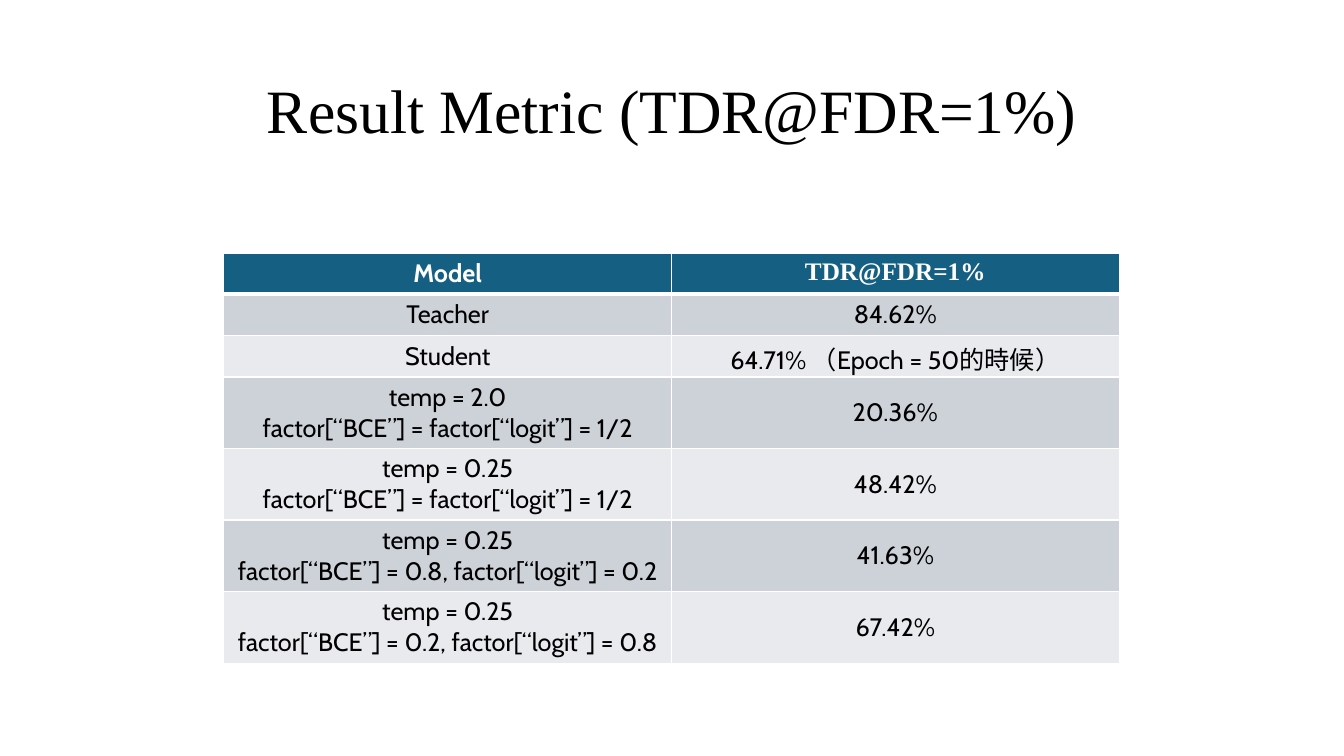
from pptx import Presentation
from pptx.dml.color import RGBColor
from pptx.enum.text import MSO_ANCHOR as Anchor, PP_ALIGN as Align
from pptx.oxml import parse_xml
from pptx.oxml.ns import nsdecls
from pptx.util import Inches, Pt

BLACK = RGBColor(0x00, 0x00, 0x00)
WHITE = RGBColor(0xFF, 0xFF, 0xFF)
HEADER_BLUE = RGBColor(0x15, 0x60, 0x82)
BANDS = [RGBColor(0xE8, 0xEA, 0xED), RGBColor(0xCC, 0xD2, 0xD8)]
SERIF, SANS = "Times New Roman", "Cabin"

ROWS = [
    ("Model", "TDR@FDR=1%"),
    ("Teacher", "84.62%"),
    ("Student", "64.71% （Epoch = 50的時候）"),
    ("temp = 2.0\nfactor[“BCE”] = factor[“logit”] = 1/2", "20.36%"),
    ("temp = 0.25\nfactor[“BCE”] = factor[“logit”] = 1/2", "48.42%"),
    ("temp = 0.25\nfactor[“BCE”] = 0.8, factor[“logit”] = 0.2", "41.63%"),
    ("temp = 0.25\nfactor[“BCE”] = 0.2, factor[“logit”] = 0.8", "67.42%"),
]


def write_text(frame, text, name, size, color, bold=False):
    """Fill a text frame with centred paragraphs, one per line of text."""
    frame.text = text
    for paragraph in frame.paragraphs:
        paragraph.alignment = Align.CENTER
        for run in paragraph.runs:
            run.font.color.rgb = color
            for key, value in dict(name=name, size=Pt(size), bold=bold).items():
                setattr(run.font, key, value)


def add_borders(cell, bottom, top):
    """Draw white cell borders; top and bottom widths are in points."""
    properties = cell._tc.get_or_add_tcPr()
    for side, width in (("L", 1), ("R", 1), ("T", top), ("B", bottom)):
        properties.append(parse_xml(
            f'<a:ln{side} {nsdecls("a")} w="{Pt(width)}"><a:solidFill>'
            f'<a:srgbClr val="{WHITE}"/></a:solidFill></a:ln{side}>'))


presentation = Presentation()
presentation.slide_width = Inches(13.33)
presentation.slide_height = Inches(7.5)
slide = presentation.slides.add_slide(presentation.slide_layouts[6])

title = slide.shapes.add_textbox(Inches(0.92), Inches(0.4), Inches(11.5), Inches(1.45))
title.text_frame.word_wrap = True
title.text_frame.vertical_anchor = Anchor.MIDDLE
write_text(title.text_frame, "Result Metric (TDR@FDR=1%)", SERIF, 44, BLACK)
title.text_frame.paragraphs[0].line_spacing = 0.9

table = slide.shapes.add_table(
    len(ROWS), 2, Inches(2.22), Inches(2.51), Inches(8.88), Inches(4.03)).table
for column in table.columns:
    column.width = Inches(4.44)

for row_index, texts in enumerate(ROWS):
    is_header = row_index == 0
    table.rows[row_index].height = Inches(0.71 if "\n" in texts[0] else 0.41)
    for column_index, text in enumerate(texts):
        cell = table.cell(row_index, column_index)
        is_value = column_index == 1 and not is_header
        cell.vertical_anchor = Anchor.MIDDLE if is_value else Anchor.TOP
        add_borders(cell, bottom=3 if is_header else 1, top=3 if row_index == 1 else 1)
        cell.fill.solid()
        cell.fill.fore_color.rgb = HEADER_BLUE if is_header else BANDS[row_index % 2]
        write_text(cell.text_frame, text,
                   SERIF if is_header and column_index == 1 else SANS, 18,
                   WHITE if is_header else BLACK, bold=is_header)

presentation.save("out.pptx")
